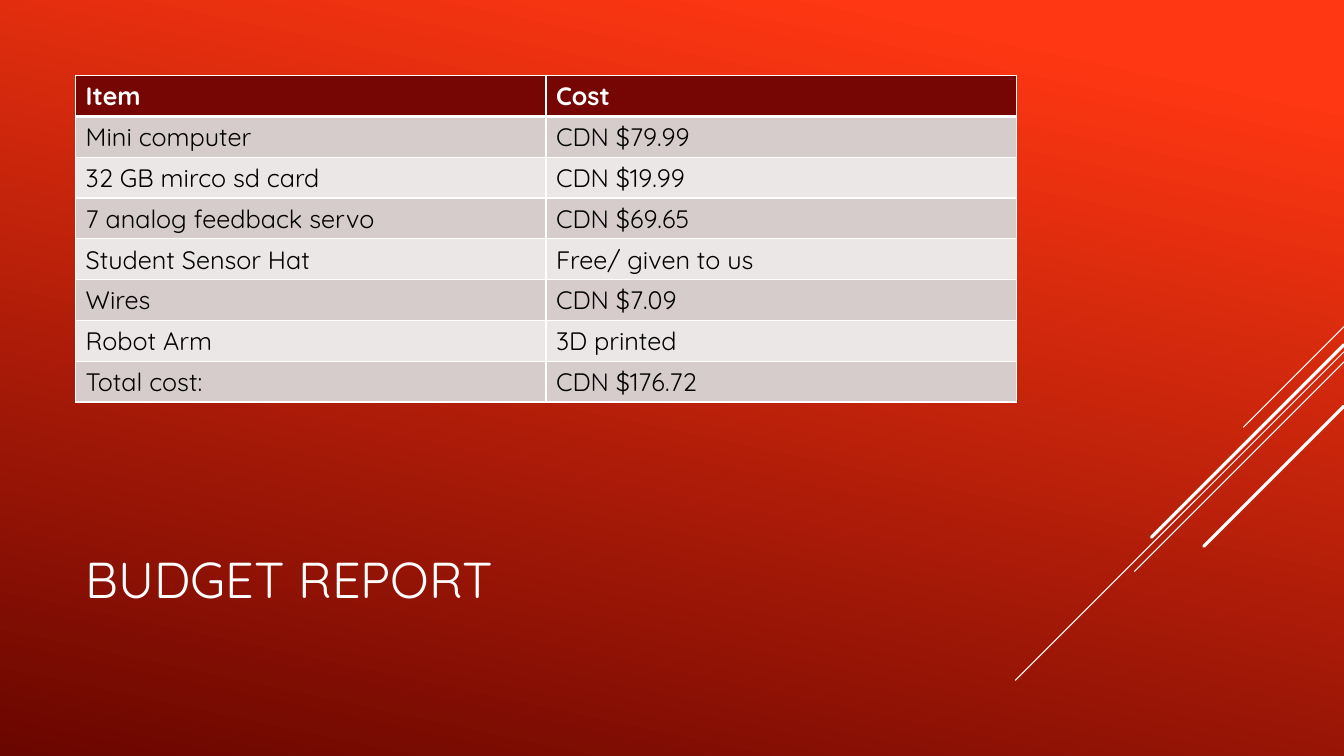
from dataclasses import dataclass

from lxml.etree import SubElement
from pptx import Presentation
from pptx.dml.color import RGBColor
from pptx.enum.shapes import MSO_CONNECTOR
from pptx.enum.text import MSO_ANCHOR
from pptx.oxml.ns import qn
from pptx.util import Inches, Pt


@dataclass(frozen=True)
class Theme:
    font: str = "Quicksand"
    title_size: float = 36
    table_size: float = 18
    white: str = "FFFFFF"
    black: str = "000000"
    header: str = "760603"
    bands: tuple = ("D6CCCC", "ECE7E7")
    glow: tuple = ((0.1, "FF3712"), (1, "6A0600"))
    glow_angle: float = 258
    thin: float = 0.75
    thick: float = 2.25
    rule: float = 1
    header_rule: float = 3


THEME = Theme()
WIDTH, HEIGHT = 13.33, 7.5
MARGIN = HEIGHT / 10
CONTENT_WIDTH = WIDTH * 0.7

BUDGET = [
    ("Item", "Cost"),
    ("Mini computer", "CDN $79.99"),
    ("32 GB mirco sd card", "CDN $19.99"),
    ("7 analog feedback servo", "CDN $69.65"),
    ("Student Sensor Hat", "Free/ given to us"),
    ("Wires", "CDN $7.09"),
    ("Robot Arm", "3D printed"),
    ("Total cost:", "CDN $176.72"),
]

STREAKS = [
    (3.24, 1.0, THEME.thin),
    (3.49, 3.26, THEME.thin),
    (3.59, 2.08, THEME.thin),
    (3.42, 1.91, THEME.thick),
    (4.03, 1.39, THEME.thick),
]


def color(value):
    return RGBColor.from_string(value)


def style_paragraph(paragraph, size, ink, bold=False):
    font = paragraph.font
    font.name = THEME.font
    font.size = Pt(size)
    font.bold = bold
    font.color.rgb = color(ink)


def paint_background(slide):
    fill = slide.background.fill
    fill.gradient()
    fill.gradient_angle = THEME.glow_angle
    for stop, (position, tone) in zip(fill.gradient_stops, THEME.glow):
        stop.position = position
        stop.color.rgb = color(tone)


def draw_streaks(slide, right):
    for top, reach, weight in STREAKS:
        streak = slide.shapes.add_connector(
            MSO_CONNECTOR.STRAIGHT,
            Inches(right), Inches(top), Inches(right - reach), Inches(top + reach),
        )
        streak.line.color.rgb = color(THEME.white)
        streak.line.width = Pt(weight)
        if weight == THEME.thick:
            streak.line._get_or_add_ln().set("cap", "rnd")
        SubElement(streak._element.spPr, qn("a:effectLst"))


def draw_title(slide, box, wording):
    title = slide.shapes.add_textbox(*map(Inches, box)).text_frame
    title.word_wrap = True
    title.vertical_anchor = MSO_ANCHOR.MIDDLE
    title.text = wording
    style_paragraph(title.paragraphs[0], THEME.title_size, THEME.white)


def rule_cell(cell, top, bottom):
    properties = cell._tc.get_or_add_tcPr()
    weights = {"lnL": THEME.rule, "lnR": THEME.rule, "lnT": top, "lnB": bottom}
    for side, weight in weights.items():
        edge = SubElement(properties, qn(f"a:{side}"), w=str(Pt(weight)))
        ink = SubElement(edge, qn("a:solidFill"))
        SubElement(ink, qn("a:srgbClr"), val=THEME.white)


def draw_budget(slide, box, entries):
    budget = slide.shapes.add_table(
        len(entries), len(entries[0]), *map(Inches, box)
    ).table
    for row, entry in enumerate(entries):
        heading = row == 0
        band = THEME.header if heading else THEME.bands[(row - 1) % 2]
        ink = THEME.white if heading else THEME.black
        top = THEME.header_rule if row == 1 else THEME.rule
        bottom = THEME.header_rule if heading else THEME.rule
        for column, wording in enumerate(entry):
            cell = budget.cell(row, column)
            cell.text = wording
            style_paragraph(cell.text_frame.paragraphs[0], THEME.table_size, ink, heading)
            rule_cell(cell, top, bottom)
            cell.fill.solid()
            cell.fill.fore_color.rgb = color(band)


def build_budget_slide(deck):
    slide = deck.slides.add_slide(deck.slide_layouts[6])
    paint_background(slide)
    draw_streaks(slide, WIDTH)
    draw_title(
        slide, (MARGIN, HEIGHT * 0.655, CONTENT_WIDTH, HEIGHT * 0.22), "BUDGET REPORT"
    )
    draw_budget(slide, (MARGIN, MARGIN, CONTENT_WIDTH, HEIGHT * 0.432), BUDGET)


def main():
    deck = Presentation()
    deck.slide_width, deck.slide_height = Inches(WIDTH), Inches(HEIGHT)
    build_budget_slide(deck)
    deck.save("out.pptx")


if __name__ == "__main__":
    main()
